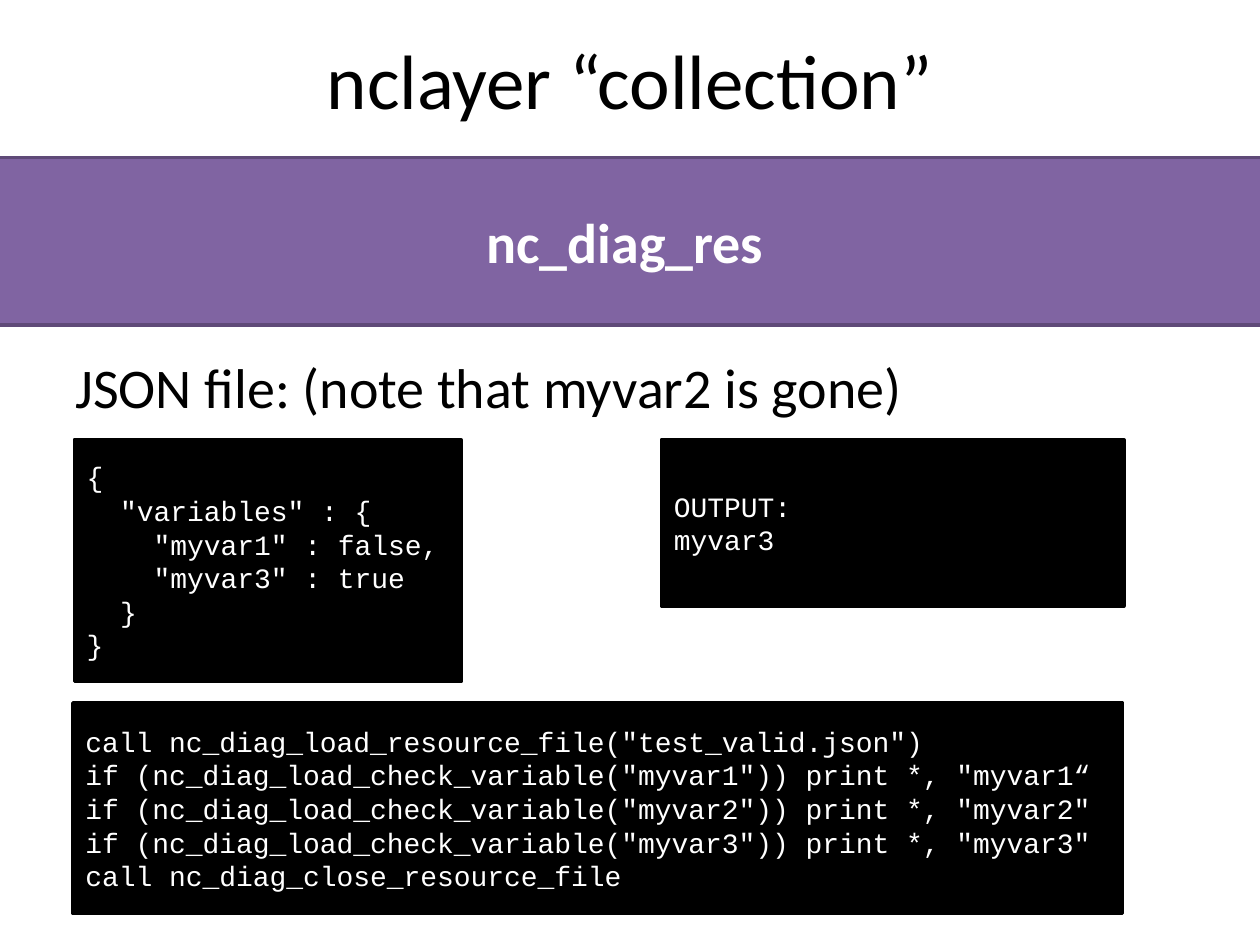
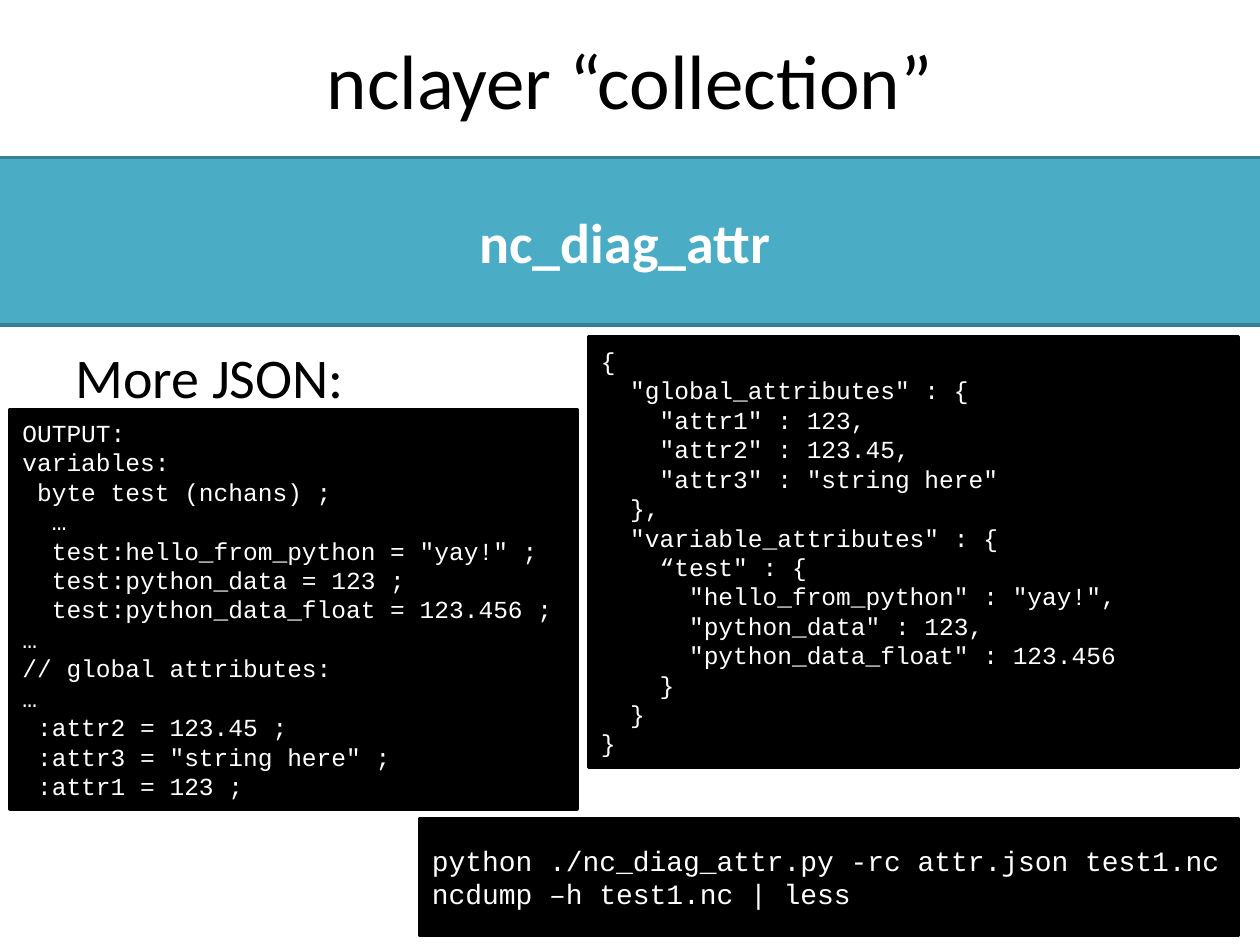
from dataclasses import dataclass

from pptx import Presentation
from pptx.dml.color import RGBColor
from pptx.enum import shapes, text
from pptx.util import Inches, Pt


@dataclass(frozen=True)
class Theme:
    body_font: str = "Calibri"
    code_font: str = "Courier New"
    ink: str = "000000"
    paper: str = "FFFFFF"
    purple: tuple = ("8064A2", "5F4A78")
    teal: tuple = ("4BACC6", "377F92")
    title_size: int = 44
    heading_size: int = 32
    code_size: int = 16
    small_code_size: int = 14
    outline: int = 2


THEME = Theme()
TITLE = "nclayer “collection”"
TITLE_BOX = (0.5, 0, 9, 1.25)
BAND_BOX = (-0.25, 1.25, 10.42, 1.33)

RESOURCE_JSON = """{
  "variables" : {
    "myvar1" : false,
    "myvar3" : true
  }
}"""

RESOURCE_CALLS = """call nc_diag_load_resource_file("test_valid.json")
if (nc_diag_load_check_variable("myvar1")) print *, "myvar1“
if (nc_diag_load_check_variable("myvar2")) print *, "myvar2"
if (nc_diag_load_check_variable("myvar3")) print *, "myvar3"
call nc_diag_close_resource_file"""

RESOURCE_OUTPUT = """OUTPUT:
myvar3"""

ATTRIBUTE_JSON = """{
  "global_attributes" : {
    "attr1" : 123,
    "attr2" : 123.45,
    "attr3" : "string here"
  },
  "variable_attributes" : {
    “test" : {
      "hello_from_python" : "yay!",
      "python_data" : 123,
      "python_data_float" : 123.456
    }
  }
}"""

ATTRIBUTE_COMMANDS = """python ./nc_diag_attr.py -rc attr.json test1.nc
ncdump –h test1.nc | less"""

ATTRIBUTE_OUTPUT = """OUTPUT:
variables:
 byte test (nchans) ;
  …
  test:hello_from_python = "yay!" ;
  test:python_data = 123 ;
  test:python_data_float = 123.456 ;
…
// global attributes:
…
 :attr2 = 123.45 ;
 :attr3 = "string here" ;
 :attr1 = 123 ;"""

SLIDES = [
    {
        "band": "nc_diag_res",
        "colors": THEME.purple,
        "heading": "JSON file: (note that myvar2 is gone)",
        "heading_box": (0.5, 2.75, 9, 0.65),
        "code": [
            (RESOURCE_JSON, (0.59, 3.49, 3.07, 1.92), THEME.code_size),
            (RESOURCE_CALLS, (0.58, 5.58, 8.33, 1.67), THEME.code_size),
            (RESOURCE_OUTPUT, (5.25, 3.49, 3.67, 1.32), THEME.code_size),
        ],
    },
    {
        "band": "nc_diag_attr",
        "colors": THEME.teal,
        "heading": "More JSON:",
        "heading_box": (0.5, 2.67, 4, 0.65),
        "code": [
            (ATTRIBUTE_JSON, (4.67, 2.67, 5.16, 3.42), THEME.small_code_size),
            (ATTRIBUTE_COMMANDS, (3.33, 6.5, 6.5, 0.92), THEME.code_size),
            (ATTRIBUTE_OUTPUT, (0.08, 3.25, 4.5, 3.17), THEME.small_code_size),
        ],
    },
]


def write(shape, content, size, color, font=THEME.body_font, bold=False,
          align=text.PP_ALIGN.LEFT, anchor=text.MSO_ANCHOR.MIDDLE):
    frame = shape.text_frame
    frame.word_wrap = True
    frame.vertical_anchor = anchor
    for index, line in enumerate(content.split("\n")):
        paragraph = frame.add_paragraph() if index else frame.paragraphs[0]
        paragraph.alignment = align
        run = paragraph.add_run()
        run.text = line
        run.font.name = font
        run.font.size = Pt(size)
        run.font.bold = bold
        run.font.color.rgb = RGBColor.from_string(color)


def add_text(slide, box, content, size, **style):
    shape = slide.shapes.add_textbox(*map(Inches, box))
    write(shape, content, size, THEME.ink, **style)


def add_panel(slide, box, colors, content, size, **style):
    shape = slide.shapes.add_shape(shapes.MSO_SHAPE.RECTANGLE, *map(Inches, box))
    fill, line = map(RGBColor.from_string, colors)
    shape.shadow.inherit = False
    shape.fill.solid()
    shape.fill.fore_color.rgb = fill
    shape.line.color.rgb = line
    shape.line.width = Pt(THEME.outline)
    write(shape, content, size, THEME.paper, **style)


def build_slide(presentation, content):
    slide = presentation.slides.add_slide(presentation.slide_layouts[6])
    add_text(slide, content["heading_box"], content["heading"],
             THEME.heading_size, anchor=text.MSO_ANCHOR.TOP)
    add_text(slide, TITLE_BOX, TITLE, THEME.title_size,
             align=text.PP_ALIGN.CENTER)
    add_panel(slide, BAND_BOX, content["colors"], content["band"],
              THEME.heading_size, bold=True, align=text.PP_ALIGN.CENTER)
    for code, box, size in content["code"]:
        add_panel(slide, box, (THEME.ink, THEME.ink), code, size,
                  font=THEME.code_font)


def main():
    presentation = Presentation()
    presentation.slide_width = Inches(10)
    presentation.slide_height = Inches(7.5)
    for content in SLIDES:
        build_slide(presentation, content)
    presentation.save("out.pptx")


if __name__ == "__main__":
    main()
